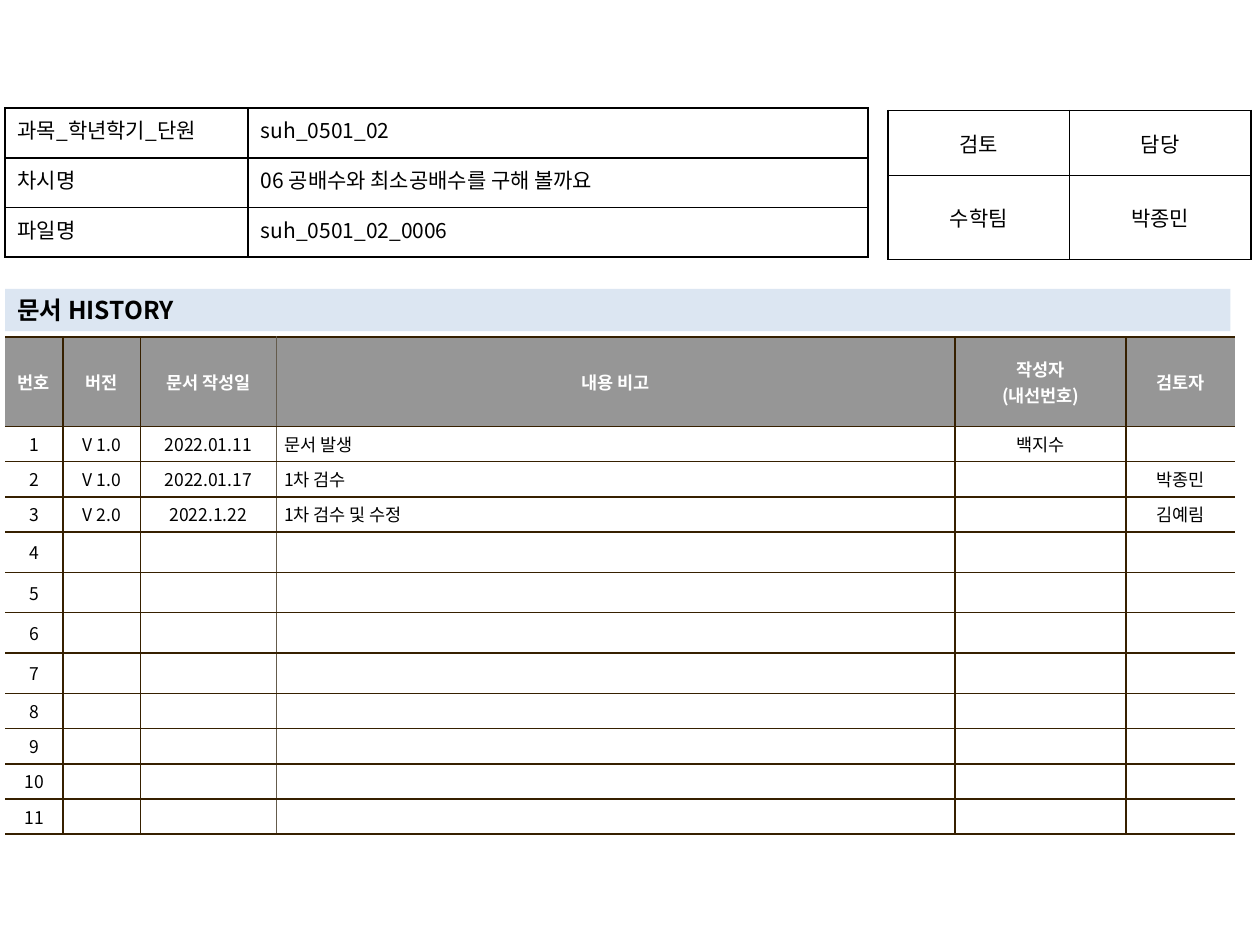
"""Build the cover page of a lesson document with its revision history."""
from dataclasses import dataclass

from lxml import etree
from pptx import Presentation
from pptx.dml.color import RGBColor
from pptx.enum.shapes import MSO_SHAPE
from pptx.enum.text import MSO_ANCHOR, PP_ALIGN
from pptx.oxml.ns import qn
from pptx.slide import Slide
from pptx.util import Pt

RECTANGLE = MSO_SHAPE.RECTANGLE
TOP, MIDDLE = MSO_ANCHOR.TOP, MSO_ANCHOR.MIDDLE
LEFT, CENTER, JUSTIFY = PP_ALIGN.LEFT, PP_ALIGN.CENTER, PP_ALIGN.JUSTIFY


@dataclass(frozen=True)
class Theme:
    font: str = "Noto Sans CJK KR"
    black: str = "000000"
    white: str = "FFFFFF"
    header: str = "969696"
    band: str = "DCE6F2"
    brown: str = "362000"
    taupe: str = "645B4C"
    title_size: float = 14
    info_size: float = 12
    history_size: float = 10


THEME = Theme()


@dataclass(frozen=True)
class TextStyle:
    size: float
    color: str = THEME.black
    bold: bool = False
    align: PP_ALIGN = CENTER


@dataclass(frozen=True)
class CellStyle:
    text: TextStyle
    left: str | None
    right: str | None
    edge: str
    fill: str | None = None
    anchor: MSO_ANCHOR = MIDDLE
    margin_x: float = 7.2
    margin_y: float = 3.6


@dataclass(frozen=True)
class Grid:
    left: float
    top: float
    widths: list[float]
    heights: list[float]
    rows: list[list[str]]
    styles: list[list[CellStyle]]


def write_text(frame, text: str, style: TextStyle) -> None:
    """Write the lines of a text as paragraphs of one style."""
    for index, line in enumerate(text.split("\n")):
        para = frame.add_paragraph() if index else frame.paragraphs[0]
        para.alignment = style.align
        if line:
            para.add_run().text = line
        else:
            etree.SubElement(para._p, qn("a:endParaRPr"), sz=str(int(style.size * 100)))
        font = para.font
        font.name, font.size, font.bold = THEME.font, Pt(style.size), style.bold
        font.color.rgb = RGBColor.from_string(style.color)
        defaults = para._p.pPr.find(qn("a:defRPr"))
        etree.SubElement(defaults, qn("a:ea"), typeface=THEME.font)


def add_border(cell, side: str, color: str | None) -> None:
    """Add a one-point cell border, or an empty one."""
    line = etree.SubElement(cell._tc.get_or_add_tcPr(), qn(f"a:ln{side}"), w=str(Pt(1)))
    if color is None:
        etree.SubElement(line, qn("a:noFill"))
    else:
        fill = etree.SubElement(line, qn("a:solidFill"))
        etree.SubElement(fill, qn("a:srgbClr"), val=color)


def format_cell(cell, text: str, style: CellStyle) -> None:
    """Fill in one table cell."""
    sides = {"L": style.left, "R": style.right, "T": style.edge, "B": style.edge}
    for side, color in sides.items():
        add_border(cell, side, color)
    if style.fill is None:
        cell.fill.background()
    else:
        cell.fill.solid()
        cell.fill.fore_color.rgb = RGBColor.from_string(style.fill)
    cell.vertical_anchor = style.anchor
    cell.margin_left = cell.margin_right = Pt(style.margin_x)
    cell.margin_top = cell.margin_bottom = Pt(style.margin_y)
    write_text(cell.text_frame, text, style.text)


def add_grid(page: Slide, grid: Grid) -> None:
    """Draw a table from its grid description."""
    table = page.shapes.add_table(
        len(grid.heights), len(grid.widths), Pt(grid.left), Pt(grid.top),
        Pt(sum(grid.widths)), Pt(sum(grid.heights))).table
    table.first_row = table.horz_banding = False
    for column, width in zip(table.columns, grid.widths):
        column.width = Pt(width)
    for row, height, texts, styles in zip(table.rows, grid.heights, grid.rows, grid.styles):
        row.height = Pt(height)
        for cell, text, style in zip(row.cells, texts, styles):
            format_cell(cell, text, style)


def history_styles(header: bool) -> list[CellStyle]:
    """Return the cell styles of one history row."""
    borders = [None, THEME.brown, THEME.brown, THEME.taupe, THEME.brown, THEME.brown, None]
    color = THEME.white if header else THEME.black
    fill = THEME.header if header else THEME.white
    styles = []
    for index, (left, right) in enumerate(zip(borders, borders[1:])):
        align = LEFT if index == 3 and not header else CENTER
        text = TextStyle(THEME.history_size, color, header, align)
        styles.append(CellStyle(text, left, right, THEME.brown, fill, margin_x=4.5, margin_y=2.8))
    return styles


def history_grid() -> Grid:
    """Describe the revision history table."""
    header = ["번호", "버전", "문서 작성일", "내용 비고", "작성자\n(내선번호)", "검토자"]
    entries = [
        ["V 1.0", "2022.01.11", "문서 발생", "백지수", ""],
        ["V 1.0", "2022.01.17", "1차 검수", "", "박종민"],
        ["V 2.0", "2022.1.22", "1차 검수 및 수정", "", "김예림"],
    ]
    entries += [[""] * 5] * 8
    rows = [header] + [[str(number), *entry] for number, entry in enumerate(entries, 1)]
    return Grid(
        2.9, 192.7, [33.1, 44.2, 77.7, 388, 97.7, 62.4],
        [51] + [20.1] * 3 + [23.1] * 4 + [20.1] * 4,
        rows, [history_styles(index == 0) for index in range(len(rows))])


def plain_style(align: PP_ALIGN, anchor: MSO_ANCHOR) -> CellStyle:
    """Return the style of an unfilled cell with black borders."""
    text = TextStyle(THEME.info_size, align=align)
    return CellStyle(text, THEME.black, THEME.black, THEME.black, anchor=anchor)


def add_band(page: Slide, text: str) -> None:
    """Draw the section heading band."""
    band = page.shapes.add_shape(RECTANGLE, Pt(2.9), Pt(165.1), Pt(700.2), Pt(24.2))
    band.shadow.inherit = False
    band.fill.solid()
    band.fill.fore_color.rgb = RGBColor.from_string(THEME.band)
    band.line.fill.background()
    band.text_frame.word_wrap = True
    band.text_frame.vertical_anchor = MIDDLE
    write_text(band.text_frame, text, TextStyle(THEME.title_size, bold=True, align=LEFT))


def main() -> None:
    """Build and save the deck."""
    deck = Presentation()
    deck.slide_width, deck.slide_height = Pt(720), Pt(540)
    page = deck.slides.add_slide(deck.slide_layouts[6])
    add_grid(page, history_grid())
    add_grid(page, Grid(
        507.5, 63.2, [103.7] * 2, [37.1, 47.9],
        [["검토", "담당"], ["수학팀", "박종민"]],
        [[plain_style(CENTER, MIDDLE)] * 2] * 2))
    add_band(page, "문서 HISTORY")
    add_grid(page, Grid(
        2.9, 61.8, [138.9, 354.3], [28.4] * 3,
        [["과목_학년학기_단원", "suh_0501_02"],
         ["차시명", "06 공배수와 최소공배수를 구해 볼까요"],
         ["파일명", "suh_0501_02_0006"]],
        [[plain_style(JUSTIFY, TOP), plain_style(LEFT, TOP)]] * 3))
    deck.save("out.pptx")


if __name__ == "__main__":
    main()
